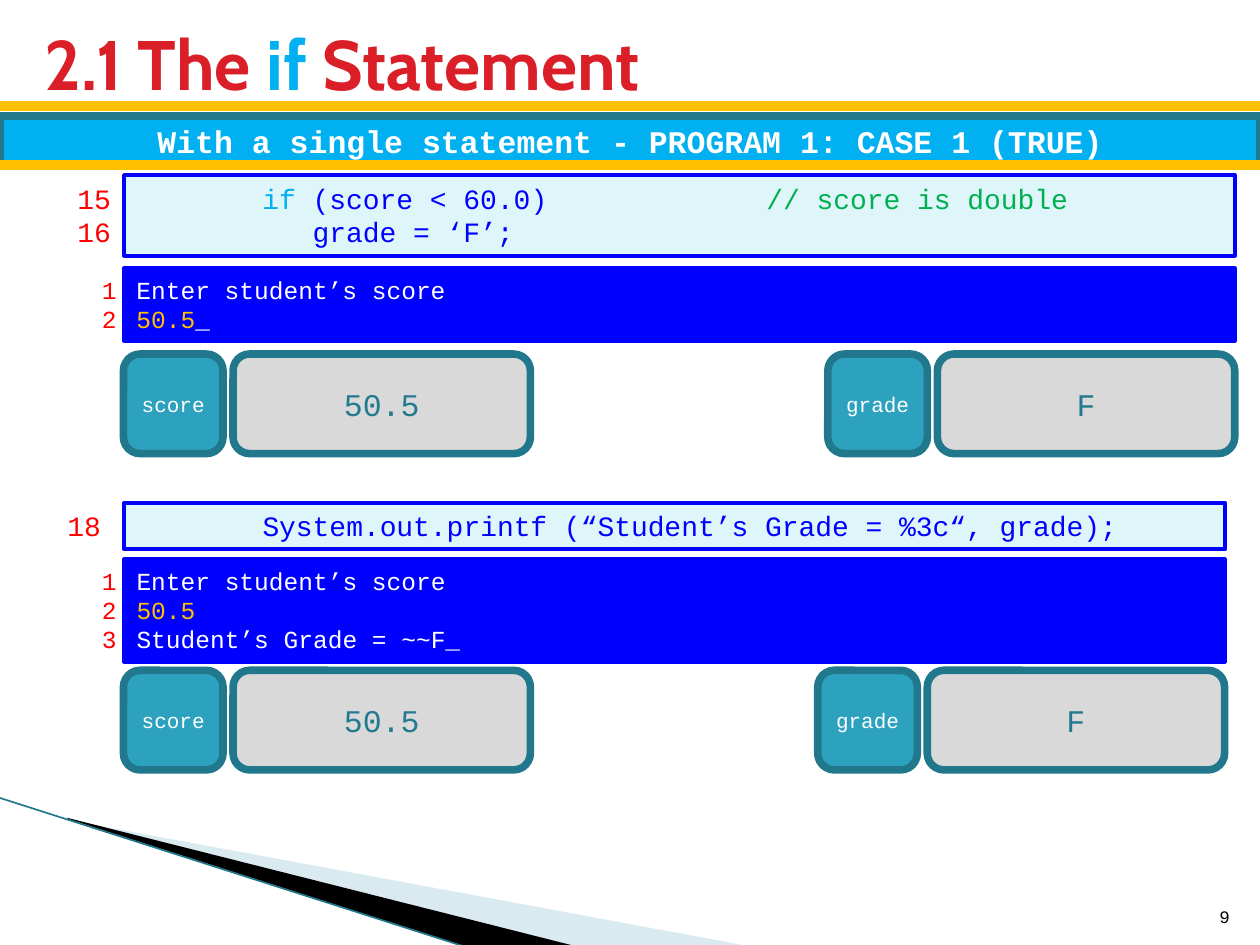
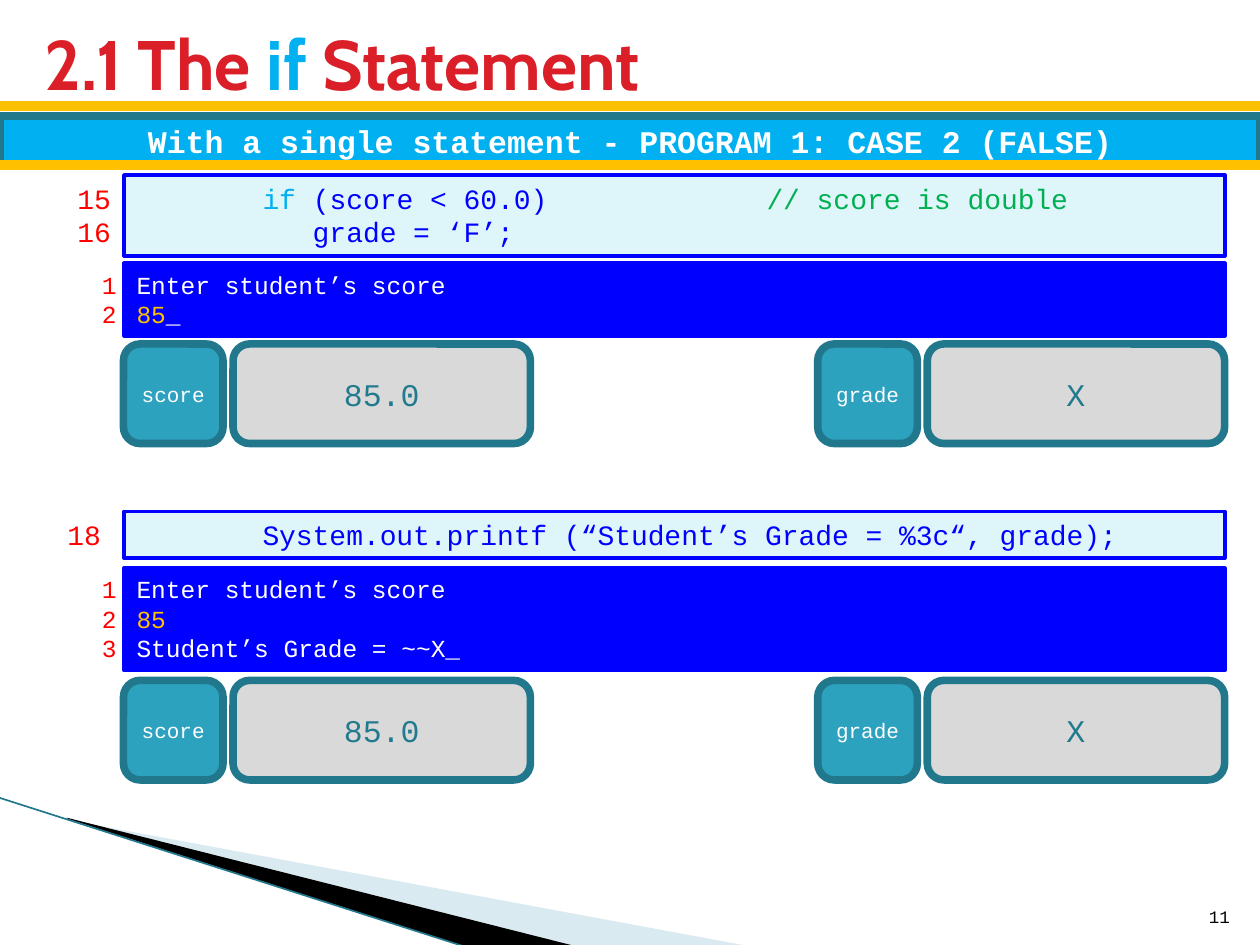
from dataclasses import dataclass
from typing import NamedTuple, Optional

from lxml.etree import SubElement
from pptx import Presentation
from pptx.dml.color import RGBColor
from pptx.enum.shapes import MSO_CONNECTOR, MSO_SHAPE
from pptx.enum.text import MSO_ANCHOR, MSO_AUTO_SIZE, PP_ALIGN
from pptx.oxml.ns import qn
from pptx.util import Inches, Pt

# Grid: 100 columns by 75 rows
WIDTH, HEIGHT = Inches(10), Inches(7.5)
COLUMN, ROW = WIDTH / 100, HEIGHT / 75

# Colours and fonts
RED = RGBColor(0xDA, 0x1F, 0x28)
NUMBER_RED = RGBColor(0xFF, 0x00, 0x00)
SKY = RGBColor(0x00, 0xB0, 0xF0)
GOLD = RGBColor(0xFF, 0xC0, 0x00)
TEAL = RGBColor(0x21, 0x78, 0x8D)
VALUE_TEAL = RGBColor(0x22, 0x7A, 0x8F)
NAME_TEAL = RGBColor(0x2D, 0xA2, 0xBF)
PALE_BLUE = RGBColor(0xA0, 0xCB, 0xDC)
CODE_FILL = RGBColor(0xDE, 0xF5, 0xFA)
BLUE = RGBColor(0x00, 0x00, 0xFF)
GREEN = RGBColor(0x00, 0xB0, 0x50)
GREY = RGBColor(0xD9, 0xD9, 0xD9)
WHITE = RGBColor(0xFF, 0xFF, 0xFF)
BLACK = RGBColor(0x00, 0x00, 0x00)
TITLE_FONT, CODE_FONT = "Cabin", "Courier New"

# Shared measures, in columns and rows
PANEL_LEFT = 9.85
CODE_TOP = 13.9
TAB_STOPS = (1, 4, 5)  # inches
VARIABLE_HEIGHT = 7.9
VALUE_OFFSET, VALUE_WIDTH = 8.7, 23.6


class Area(NamedTuple):
    """Left and width in columns, top and height in rows."""
    left: float
    top: float
    width: float
    height: float

    def emu(self) -> tuple[int, int, int, int]:
        return (round(self.left * COLUMN), round(self.top * ROW),
                round(self.width * COLUMN), round(self.height * ROW))


class Span(NamedTuple):
    text: str
    color: RGBColor


class TextStyle(NamedTuple):
    size: float
    align: PP_ALIGN = PP_ALIGN.LEFT
    anchor: MSO_ANCHOR = MSO_ANCHOR.TOP
    font: str = CODE_FONT
    bold: bool = False
    tabs: bool = False


class PanelStyle(NamedTuple):
    fill: RGBColor
    text: TextStyle
    line_rows: float
    number_align: PP_ALIGN


Lines = list[list[Span]]

CENTERED = {"align": PP_ALIGN.CENTER, "anchor": MSO_ANCHOR.MIDDLE}
TITLE_STYLE = TextStyle(40, anchor=MSO_ANCHOR.MIDDLE, font=TITLE_FONT, bold=True)
HEADING_STYLE = TextStyle(18, bold=True, **CENTERED)
VALUE_STYLE = TextStyle(18, **CENTERED)
NAME_STYLE = TextStyle(12, **CENTERED)
PAGE_STYLE = TextStyle(10, PP_ALIGN.RIGHT, MSO_ANCHOR.BOTTOM)
CODE_PANEL = PanelStyle(CODE_FILL, TextStyle(16, tabs=True), 2.7, PP_ALIGN.RIGHT)
CONSOLE_PANEL = PanelStyle(BLUE, TextStyle(14), 2.37, PP_ALIGN.LEFT)

TITLE = [Span("2.1 The ", RED), Span("if ", SKY), Span("Statement", RED)]
IF_CODE = [
    [Span("\t", BLUE), Span("if", SKY), Span(" (score < 60.0)\t\t", BLUE),
     Span("// score is double", GREEN)],
    [Span("\t   grade = ‘F’;", BLUE)],
]
PRINT_CODE = [[Span("\tSystem.out.printf (“Student’s Grade = %3c“, grade);", BLUE)]]
PROMPT = [Span("Enter student’s score", WHITE)]


@dataclass
class Stage:
    """Tops of the console and variables of one step, and its right edge."""
    console_top: float
    variables_top: float
    right: float = 97.2


@dataclass
class Case:
    heading: str
    page_number: int
    typed: str
    score: str
    grade: str
    condition: Stage
    print_top: float
    output: Stage


CASES = [
    Case("With a single statement - PROGRAM 1: CASE 1 (TRUE)", 9, "50.5", "50.5", "F",
         Stage(21.3, 28.1, 98), 39.9, Stage(44.4, 53.2)),
    Case("With a single statement - PROGRAM 1: CASE 2 (FALSE)", 11, "85", "85.0", "X",
         Stage(20.9, 27.3), 40.6, Stage(45.1, 54)),
]


def write(box, lines: Lines, style: TextStyle) -> None:
    frame = box.text_frame
    frame.word_wrap = True
    frame.auto_size = MSO_AUTO_SIZE.NONE
    frame.vertical_anchor = style.anchor
    for index, spans in enumerate(lines):
        para = frame.add_paragraph() if index else frame.paragraphs[0]
        para.alignment = style.align
        if style.tabs:
            tab_list = SubElement(para._p.get_or_add_pPr(), qn("a:tabLst"))
            for stop in TAB_STOPS:
                SubElement(tab_list, qn("a:tab"), pos=str(Inches(stop)), algn="l")
        for span in spans:
            run = para.add_run()
            run.text = span.text
            run.font.name = style.font
            run.font.size = Pt(style.size)
            run.font.bold = style.bold
            run.font.color.rgb = span.color


def add_text(page, area: Area, lines: Lines, style: TextStyle) -> None:
    write(page.shapes.add_textbox(*area.emu()), lines, style)


def add_box(page, kind: MSO_SHAPE, area: Area, fill: RGBColor, line: RGBColor,
            line_width: float, lines: Lines, style: TextStyle) -> None:
    box = page.shapes.add_shape(kind, *area.emu())
    box.shadow.inherit = False
    box.fill.solid()
    box.fill.fore_color.rgb = fill
    box.line.color.rgb = line
    box.line.width = Pt(line_width)
    write(box, lines, style)


def add_line(page, start: tuple[float, float], end: tuple[float, float],
             color: RGBColor, width: float) -> None:
    points = [round(value * unit) for point in (start, end)
              for value, unit in zip(point, (COLUMN, ROW))]
    line = page.shapes.add_connector(MSO_CONNECTOR.STRAIGHT, *points)
    line.line.color.rgb = color
    line.line.width = Pt(width)
    SubElement(line._element.spPr, qn("a:effectLst"))


def add_wedge(page, corners: list[tuple[float, float]], color: RGBColor,
              opacity: Optional[int] = None) -> None:
    points = [(round(x * COLUMN), round(y * ROW)) for x, y in corners]
    builder = page.shapes.build_freeform(*points[0], scale=1.0)
    builder.add_line_segments(points[1:], close=True)
    wedge = builder.convert_to_shape()
    wedge.shadow.inherit = False
    wedge.fill.solid()
    wedge.fill.fore_color.rgb = color
    wedge.line.fill.background()
    if opacity is not None:
        color_element = wedge._element.spPr.find(".//" + qn("a:srgbClr"))
        SubElement(color_element, qn("a:alpha"), val=str(opacity * 1000))


def add_panel(page, top: float, right: float, style: PanelStyle, lines: Lines,
              numbers: range, number_left: float, number_width: float) -> None:
    """A framed block of lines with its line numbers on the left."""
    height = 1 + style.line_rows * len(lines)
    area = Area(PANEL_LEFT, top, right - PANEL_LEFT, height)
    add_box(page, MSO_SHAPE.RECTANGLE, area, style.fill, BLUE, 2.25, lines, style.text)
    add_text(page, Area(number_left, top, number_width, height),
             [[Span(str(number), NUMBER_RED)] for number in numbers],
             TextStyle(style.text.size, style.number_align))


def add_console(page, stage: Stage, lines: Lines) -> None:
    add_panel(page, stage.console_top, stage.right, CONSOLE_PANEL, lines,
              range(1, len(lines) + 1), 7.1, 2.7)


def add_variables(page, stage: Stage, case: Case) -> None:
    grade_left = stage.right - VALUE_OFFSET - VALUE_WIDTH
    for left, name, value in ((9.8, "score", case.score), (grade_left, "grade", case.grade)):
        parts = (
            (left + VALUE_OFFSET, VALUE_WIDTH, GREY, Span(value, VALUE_TEAL), VALUE_STYLE),
            (left, VARIABLE_HEIGHT, NAME_TEAL, Span(name, WHITE), NAME_STYLE),
        )
        for part_left, width, fill, span, style in parts:
            area = Area(part_left, stage.variables_top, width, VARIABLE_HEIGHT)
            add_box(page, MSO_SHAPE.ROUNDED_RECTANGLE, area, fill, TEAL, 4.33,
                    [[span]], style)


def add_frame(page, case: Case) -> None:
    # Corner decoration
    add_wedge(page, [(5.5, 65.1), (59.5, 75.1), (45.6, 75.1), (5.5, 65)], PALE_BLUE, 40)
    add_wedge(page, [(5.3, 64.9), (45.7, 75.1), (37.2, 75.2), (5.4, 65)], BLACK)
    add_line(page, (-0.1, 63.3), (37.1, 75.2), TEAL, 0.95)
    # Heading band between two gold rules
    add_box(page, MSO_SHAPE.RECTANGLE, Area(0, 9.2, 100, 3.9), SKY, TEAL, 4.33,
            [[Span(case.heading, WHITE)]], HEADING_STYLE)
    for rule_top in (13.1, 8.4):
        add_line(page, (0, rule_top), (100, rule_top), GOLD, 6)
    # Title and page number
    title = page.shapes.title
    title.left, title.top, title.width, title.height = Area(2.5, 1.7, 94.7, 6.5).emu()
    write(title, [TITLE], TITLE_STYLE)
    add_text(page, Area(94.6, 70.1, 4, 4), [[Span(str(case.page_number), BLACK)]],
             PAGE_STYLE)


def add_case(deck, case: Case) -> None:
    page = deck.slides.add_slide(deck.slide_layouts.get_by_name("Title Only"))
    add_frame(page, case)
    typed = Span(case.typed, GOLD)
    # Condition step
    add_panel(page, CODE_TOP, case.condition.right, CODE_PANEL, IF_CODE,
              range(15, 17), 2.8, 7)
    add_console(page, case.condition, [PROMPT, [typed, Span("_", WHITE)]])
    add_variables(page, case.condition, case)
    # Output step
    add_panel(page, case.print_top, case.output.right, CODE_PANEL, PRINT_CODE,
              range(18, 19), 2, 7)
    result = [Span(f"Student’s Grade = ~~{case.grade}_", WHITE)]
    add_console(page, case.output, [PROMPT, [typed], result])
    add_variables(page, case.output, case)


def main() -> None:
    deck = Presentation()
    deck.slide_width, deck.slide_height = WIDTH, HEIGHT
    for case in CASES:
        add_case(deck, case)
    deck.save("out.pptx")


if __name__ == "__main__":
    main()
